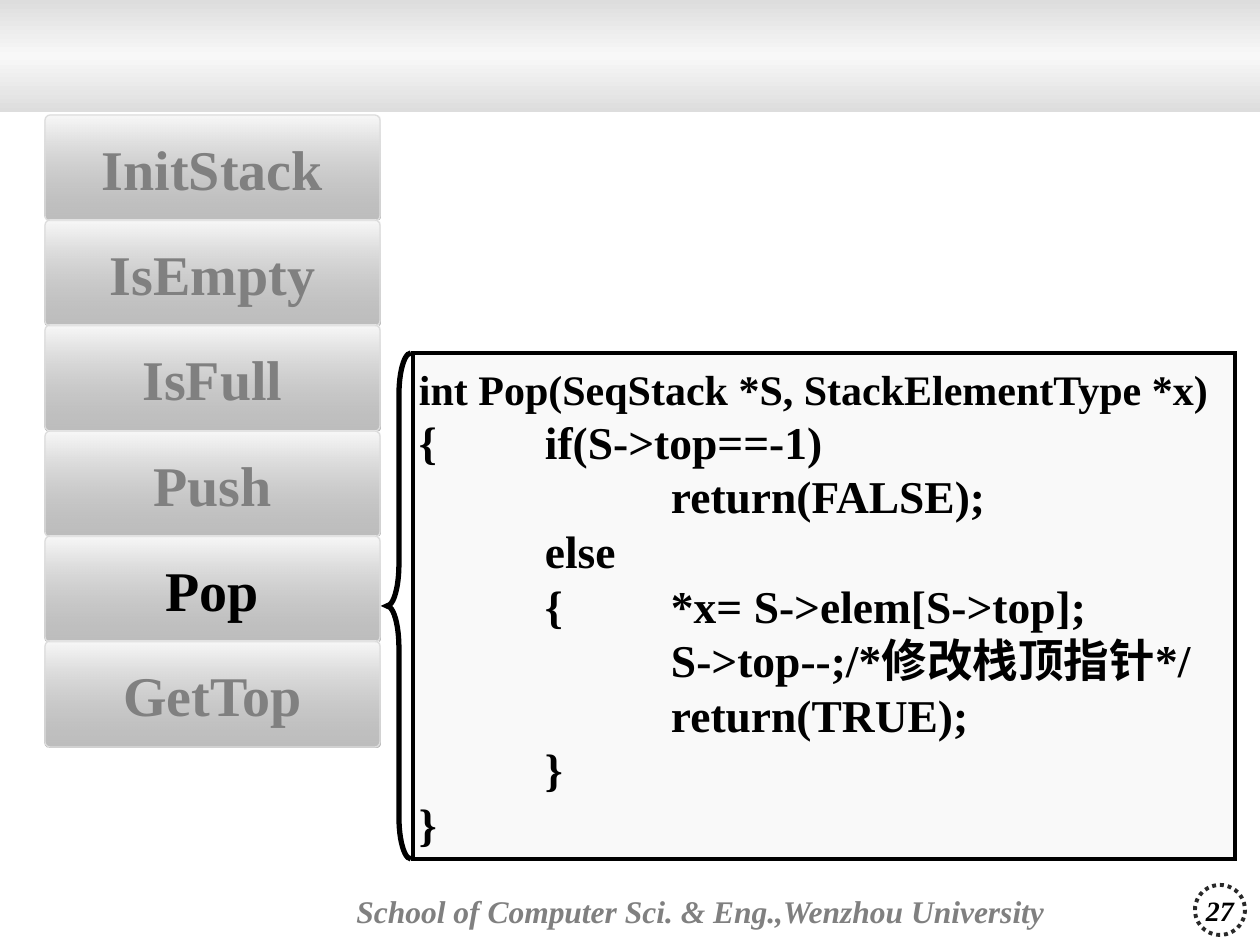
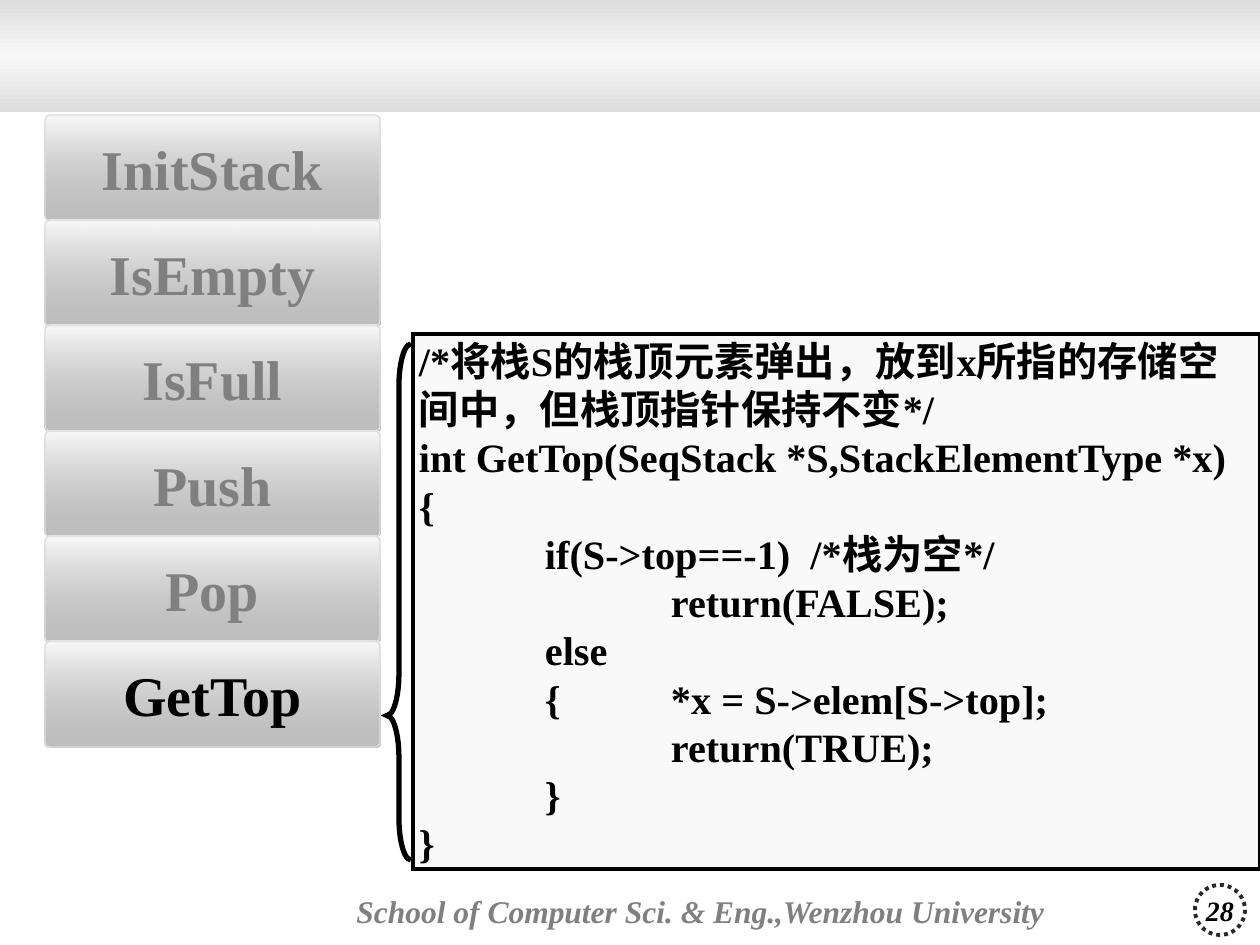
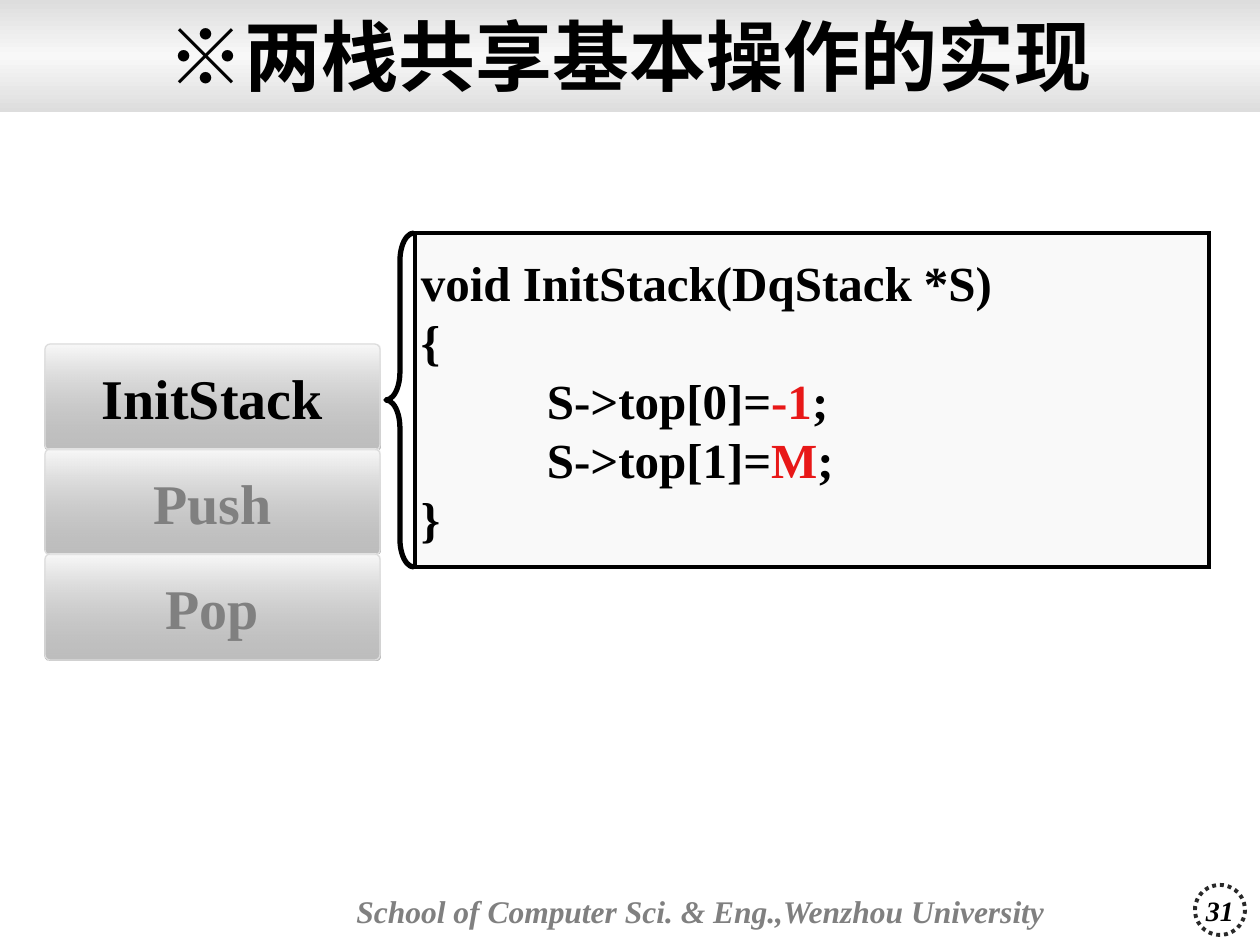
from lxml import etree
from pptx import Presentation
from pptx.dml.color import RGBColor
from pptx.enum.dml import MSO_LINE
from pptx.enum.shapes import MSO_SHAPE
from pptx.enum.text import MSO_ANCHOR, PP_ALIGN
from pptx.oxml.ns import qn
from pptx.util import Emu, Pt

PX = 914400 / 126
RECT, ROUND = MSO_SHAPE.RECTANGLE, MSO_SHAPE.ROUNDED_RECTANGLE
OVAL, BRACE = MSO_SHAPE.OVAL, MSO_SHAPE.LEFT_BRACE
DOTS, MIDDLE = MSO_LINE.ROUND_DOT, MSO_ANCHOR.MIDDLE
LEFT, CENTER = PP_ALIGN.LEFT, PP_ALIGN.CENTER

BLACK = RGBColor(0x00, 0x00, 0x00)
GRAY = RGBColor(0x80, 0x80, 0x80)
DARK = RGBColor(0x29, 0x29, 0x29)
SHADE = RGBColor(0x72, 0x72, 0x72)
EDGE = RGBColor(0xDD, 0xDD, 0xDD)
PALE = RGBColor(0xF8, 0xF8, 0xF8)
RED = RGBColor(0xE8, 0x18, 0x18)

SERIF, HAN = "Times New Roman", "Noto Sans CJK SC"
FOOTER = "School of Computer Sci. & Eng.,Wenzhou University"
STACK = ["InitStack", "IsEmpty", "IsFull", "Push", "Pop", "GetTop"]
SHARED = ["InitStack", "Push", "Pop"]

POP = [
    "int Pop(SeqStack *S, StackElementType *x)",
    "{\tif(S->top==-1)",
    "\t\treturn(FALSE);",
    "\telse",
    "\t{\t*x= S->elem[S->top];",
    "\t\tS->top--;/*修改栈顶指针*/",
    "\t\treturn(TRUE);",
    "\t}",
    "}",
]
GETTOP = [
    "/*将栈S的栈顶元素弹出，放到x所指的存储空间中，但栈顶指针保持不变*/",
    "int GetTop(SeqStack *S,StackElementType *x)",
    "{",
    "\tif(S->top==-1)  /*栈为空*/",
    "\t\treturn(FALSE);",
    "\telse",
    "\t{\t*x = S->elem[S->top];",
    "\t\treturn(TRUE);",
    "\t}",
    "}",
]
INIT = [
    "void InitStack(DqStack *S)",
    "{",
    ("\tS->top[0]=", "-1", ";"),
    ("\tS->top[1]=", "M", ";"),
    "}",
]


def place(box):
    """Turn px lengths into EMU."""
    return [Emu(round(n * PX)) for n in box]


def shape(slide, kind, box, line=None, width=1, adj=()):
    """Add an unfilled shape without shadow."""
    item = slide.shapes.add_shape(kind, *place(box))
    item.shadow.inherit = False
    item.fill.background()
    if line is None:
        item.line.fill.background()
    else:
        item.line.color.rgb = line
        item.line.width = Pt(width)
    for i, value in enumerate(adj):
        item.adjustments[i] = value
    return item


def sharpen(item):
    """Give the outline pointed corners."""
    line = item.element.spPr.find(qn("a:ln"))
    etree.SubElement(line, qn("a:miter"), lim="800000")


def fade(color, share):
    """Give a colour element an opacity in percent."""
    etree.SubElement(color, qn("a:alpha"), val=str(share * 1000))


def blend(item, stops):
    """Fill a shape from top to bottom with (position, colour, opacity) stops."""
    item.fill.gradient()
    item.fill.gradient_angle = 270
    slots = item.element.spPr.find(qn("a:gradFill")).find(qn("a:gsLst"))
    for old in list(slots):
        slots.remove(old)
    for pos, color, share in stops:
        stop = etree.SubElement(slots, qn("a:gs"), pos=str(pos * 1000))
        fade(etree.SubElement(stop, qn("a:srgbClr"), val=str(color)), share)


def style(para, size, color, align=LEFT, italic=False):
    """Set tab stops and the bold font of a paragraph."""
    para.alignment = align
    props = para._p.pPr
    tabs = etree.SubElement(props, qn("a:tabLst"))
    for stop in place((126, 252)):
        etree.SubElement(tabs, qn("a:tab"), pos=str(stop), algn="l")
    font = para.font
    font.size, font.bold, font.italic = Pt(size), True, italic
    font.name = SERIF
    font.color.rgb = color
    etree.SubElement(props.find(qn("a:defRPr")), qn("a:ea"), typeface=HAN)


def write(item, lines, size, color=BLACK, align=LEFT, italic=False, wrap=True):
    """Write lines into a shape; every second part of a tuple is red."""
    frame = item.text_frame
    frame.word_wrap, frame.vertical_anchor = wrap, MIDDLE
    frame.margin_left, frame.margin_right, frame.margin_top, frame.margin_bottom = place((6, 6, 3, 3))
    for i, line in enumerate(lines):
        para = frame.add_paragraph() if i else frame.paragraphs[0]
        style(para, size, color, align, italic)
        for j, part in enumerate((line,) if isinstance(line, str) else line):
            run = para.add_run()
            run.text = part
            if j % 2:
                run.font.color.rgb = RED


def base(deck, number):
    """Add a slide with band, footer and page number."""
    slide = deck.slides.add_slide(deck.slide_layouts[6])
    band = shape(slide, RECT, (0, 0, 1260, 112))
    blend(band, [(0, EDGE, 100), (50, PALE, 100), (100, EDGE, 100)])
    foot = shape(slide, ROUND, (350, 869, 755, 84), adj=(0.02,))
    write(foot, [FOOTER], 18, GRAY, italic=True)
    page = shape(slide, OVAL, (1195, 885, 50, 50), DARK, 2.25)
    page.line.dash_style = DOTS
    write(page, [str(number)], 16, align=CENTER, italic=True, wrap=False)
    return slide


def title(slide, mark, text):
    """Put a marked title on the band."""
    item = slide.shapes.add_textbox(*place((0, -2, 1260, 113)))
    write(item, [mark], 44, align=CENTER)
    para = item.text_frame.paragraphs[0]
    para.runs[0].font.name = HAN
    para.add_run().text = text


def code(slide, lines, size, box):
    """Add a framed code listing and return its first paragraph."""
    item = shape(slide, ROUND, box, BLACK, 2.25, (0,))
    sharpen(item)
    item.fill.solid()
    item.fill.fore_color.rgb = PALE
    fade(item.element.spPr.find(qn("a:solidFill"))[0], 78)
    write(item, lines, size)
    return item.text_frame.paragraphs[0]


def brace(slide, box, curve, tip=0.5, keen=True):
    """Add the brace that ties a menu entry to its code."""
    item = shape(slide, BRACE, box, BLACK, 3, (curve, tip))
    if keen:
        sharpen(item)


def menu(slide, names, top, active):
    """Stack the operation buttons and darken the active one."""
    for i, name in enumerate(names):
        box = (45, top + 316 * i // 3, 335, 106)
        item = shape(slide, ROUND, box, EDGE, 0.75, (0.05,))
        blend(item, [(0, PALE, 84), (100, SHADE, 46)])
        write(item, [name], 32, BLACK if name == active else GRAY, CENTER)


def main():
    """Build the deck."""
    deck = Presentation()
    deck.slide_width, deck.slide_height = place((1260, 945))

    slide = base(deck, 27)
    head = code(slide, POP, 26, (413, 353, 822, 506))
    head.font.size, head.line_spacing = Pt(24), Pt(30)
    brace(slide, (387, 353, 24, 506), 1.75)
    menu(slide, STACK, 115, "Pop")

    slide = base(deck, 28)
    code(slide, GETTOP, 23, (413, 334, 847, 535))
    brace(slide, (387, 344, 24, 516), 1.75, 0.72)
    menu(slide, STACK, 115, "GetTop")

    slide = base(deck, 31)
    title(slide, "※", "两栈共享基本操作的实现")
    code(slide, INIT, 28, (415, 233, 794, 334))
    brace(slide, (386, 233, 28, 334), 1, keen=False)
    menu(slide, SHARED, 344, "InitStack")

    deck.save("out.pptx")


if __name__ == "__main__":
    main()
